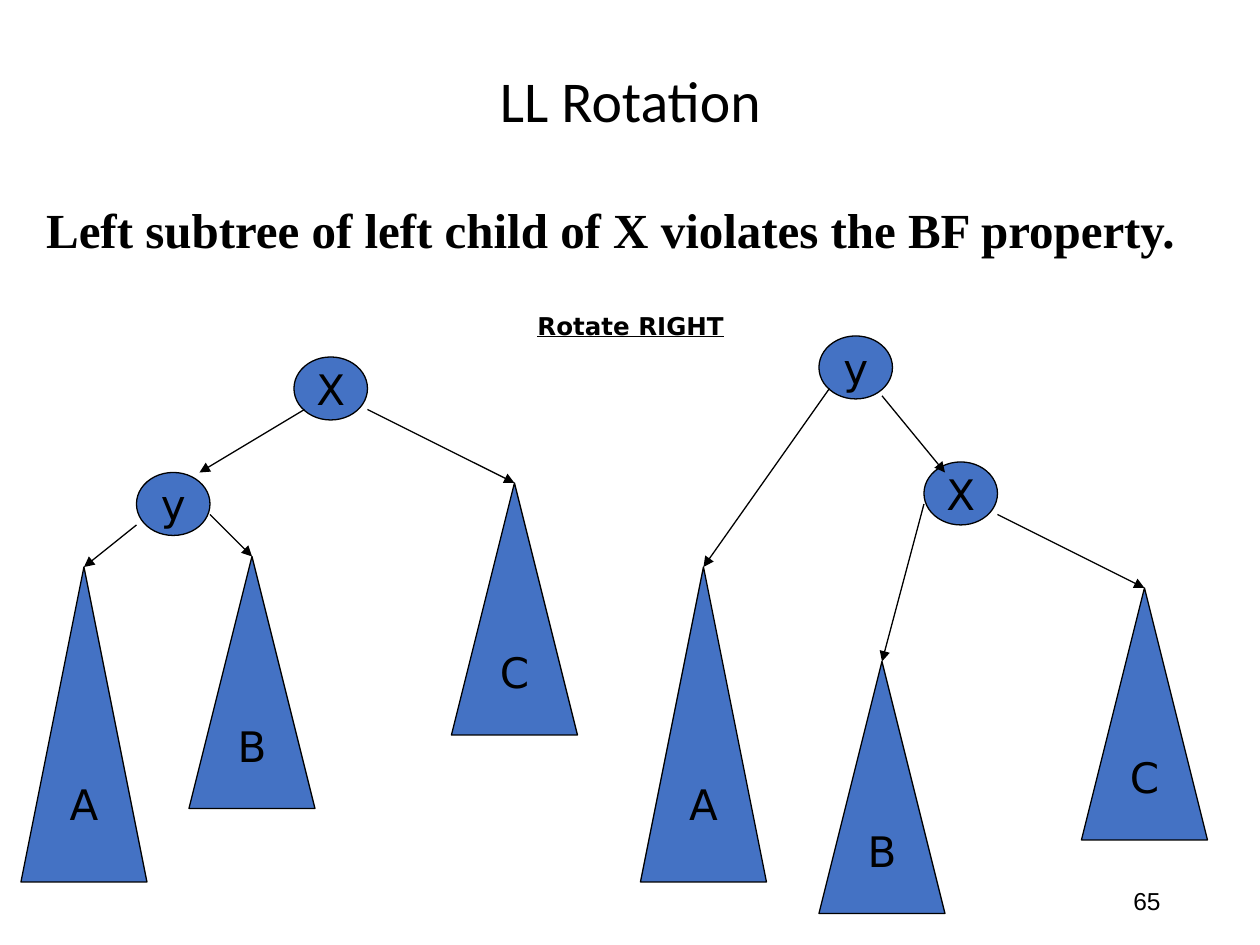
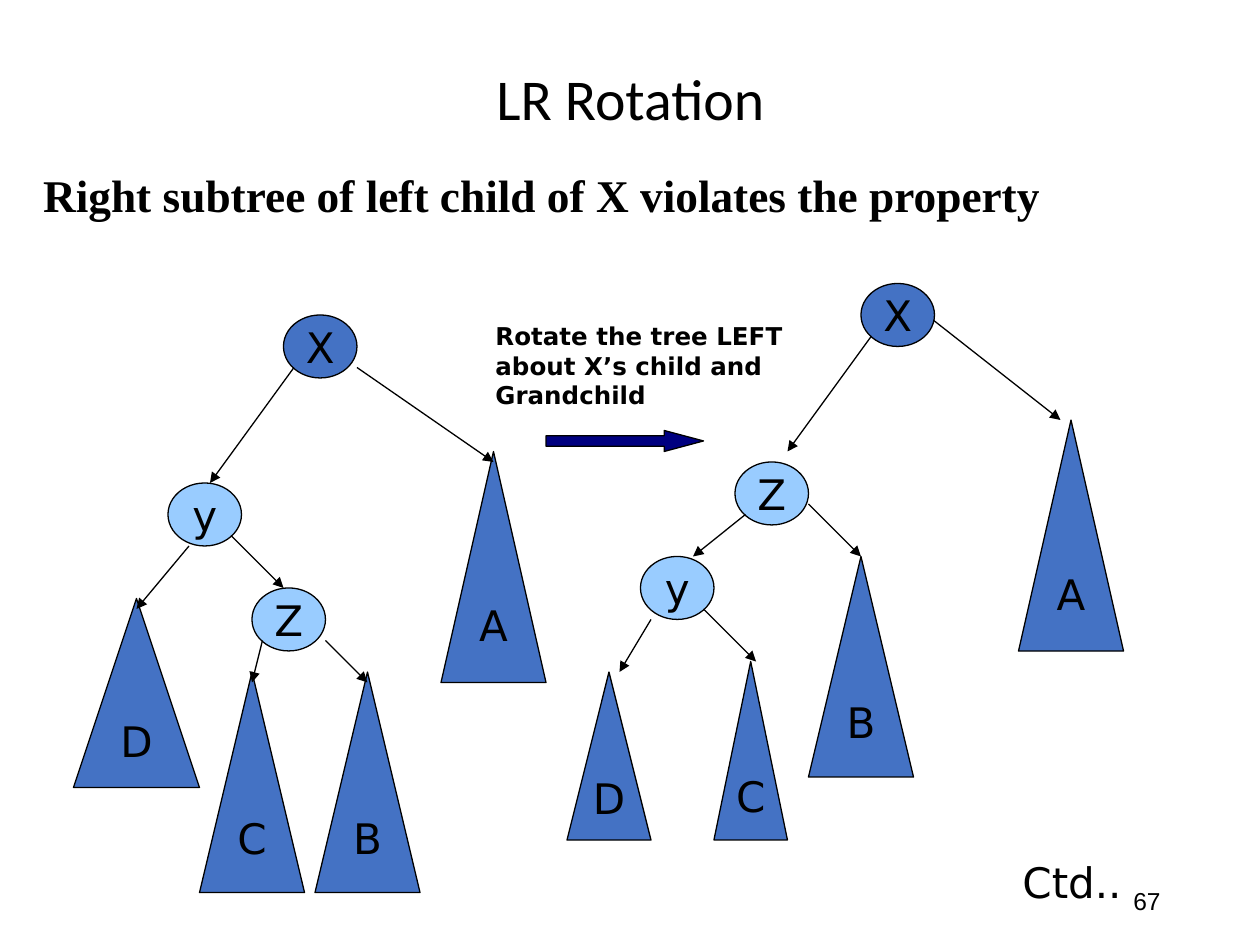
from dataclasses import dataclass

from lxml import etree
from pptx import Presentation
from pptx.dml.color import RGBColor
from pptx.enum.shapes import MSO_CONNECTOR, MSO_SHAPE
from pptx.enum.text import MSO_ANCHOR, MSO_AUTO_SIZE, PP_ALIGN
from pptx.oxml.ns import qn
from pptx.util import Inches, Pt

COLUMNS, ROWS = 120, 90
CELL = Inches(1) / 12
NODE_SIZE = (7, 6)

BLACK = "000000"
BLUE = "4472C4"
LIGHT_BLUE = "99CCFF"
NAVY = "000080"

TITLE_FONT = "Calibri"
BODY_FONT = "Times New Roman"
LABEL_FONT = "DejaVu Sans"
NUMBER_FONT = "Arial"


@dataclass
class Tree:
    """Parts are in grid cells, relative to the tree's origin."""
    origin: tuple
    nodes: list      # label, column, row, fill
    subtrees: list   # label, column, row, width, height
    edges: list      # start column, start row, end column, end row


LL_BEFORE = Tree(
    (2, 34),
    [("X", 26, 0, BLUE), ("y", 11, 11, BLUE)],
    [("A", 0, 20, 12, 30), ("B", 16, 19, 12, 24), ("C", 41, 12, 12, 24)],
    [(33, 5, 47, 12), (11, 16, 6, 20), (18, 15, 22, 19), (27, 5, 17, 11)],
)
LL_AFTER = Tree(
    (61, 32),
    [("X", 27, 12, BLUE), ("y", 17, 0, BLUE)],
    [("A", 0, 22, 12, 30), ("B", 17, 31, 12, 24), ("C", 42, 24, 12, 24)],
    [(27, 16, 23, 31), (34, 17, 48, 24), (18, 5, 6, 22), (23, 5.7, 29, 13)],
)
LR_BEFORE = Tree(
    (7, 30),
    [("X", 20, 0, BLUE), ("y", 9, 16, LIGHT_BLUE), ("Z", 17, 26, LIGHT_BLUE)],
    [("A", 35, 13, 10, 22), ("C", 12, 34, 10, 21),
     ("D", 0, 27, 12, 18), ("B", 23, 34, 10, 21)],
    [(11, 22, 6, 28), (15, 21, 20, 26), (21, 5, 13, 16),
     (18, 31, 17, 35), (27, 5, 40, 14), (24, 31, 28, 35)],
)
LR_AFTER = Tree(
    (54, 27),
    [("X", 28, 0, BLUE), ("y", 7, 26, LIGHT_BLUE), ("Z", 16, 17, LIGHT_BLUE)],
    [("A", 43, 13, 10, 22), ("C", 14, 36, 7, 17),
     ("D", 0, 37, 8, 16), ("B", 23, 26, 10, 21)],
    [(34.9, 3.5, 47, 13), (29, 5, 21, 16), (8, 32, 5, 37),
     (13, 31, 18, 36), (17, 22, 12, 26), (23, 21, 28, 26)],
)


def color(hex_string):
    return RGBColor.from_string(hex_string)


def cells(*counts):
    return [round(count * CELL) for count in counts]


def format_paragraph(paragraph, font_name, size, align, bold=False, underline=False):
    paragraph.alignment = align
    font = paragraph.font
    font.name, font.size = font_name, Pt(size)
    font.bold, font.underline = bold, underline
    font.color.rgb = color(BLACK)


def place(shape, box):
    shape.left, shape.top, shape.width, shape.height = cells(*box)


def add_text(slide, box, text, font_name, size, align=PP_ALIGN.LEFT,
             anchor=MSO_ANCHOR.TOP, **style):
    frame = slide.shapes.add_textbox(*cells(*box)).text_frame
    frame.word_wrap = True
    frame.vertical_anchor = anchor
    frame.text = text
    format_paragraph(frame.paragraphs[0], font_name, size, align, **style)


def add_solid(slide, preset, box, fill):
    shape = slide.shapes.add_shape(preset, *cells(*box))
    shape.shadow.inherit = False
    shape.fill.solid()
    shape.fill.fore_color.rgb = color(fill)
    shape.line.color.rgb = color(BLACK)
    shape.line.width = Pt(0.75)
    return shape


def add_labelled(slide, preset, box, fill, label):
    frame = add_solid(slide, preset, box, fill).text_frame
    frame.word_wrap = False
    frame.vertical_anchor = MSO_ANCHOR.MIDDLE
    frame.text = label
    format_paragraph(frame.paragraphs[0], LABEL_FONT, 24, PP_ALIGN.CENTER)


def add_edge(slide, ends):
    edge = slide.shapes.add_connector(MSO_CONNECTOR.STRAIGHT, *cells(*ends))
    edge.line.color.rgb = color(BLACK)
    edge.line.width = Pt(0.75)
    etree.SubElement(edge.line._get_or_add_ln(), qn("a:tailEnd"), type="triangle")
    etree.SubElement(edge._element.spPr, qn("a:effectLst"))


def add_tree(slide, tree):
    left, top = tree.origin
    for label, column, row, fill in tree.nodes:
        add_labelled(slide, MSO_SHAPE.OVAL,
                     (left + column, top + row, *NODE_SIZE), fill, label)
    for label, column, row, width, height in tree.subtrees:
        add_labelled(slide, MSO_SHAPE.FLOWCHART_EXTRACT,
                     (left + column, top + row, width, height), BLUE, label)
    for x1, y1, x2, y2 in tree.edges:
        add_edge(slide, (left + x1, top + y1, left + x2, top + y2))


def set_title(slide, text, height):
    title = slide.shapes.title
    place(title, (8.28, 4.8, 103.5, height))
    frame = title.text_frame
    frame.text = text
    frame.auto_size = MSO_AUTO_SIZE.NONE
    frame.vertical_anchor = MSO_ANCHOR.MIDDLE
    paragraph = frame.paragraphs[0]
    paragraph.line_spacing = 0.9
    format_paragraph(paragraph, TITLE_FONT, 33, PP_ALIGN.CENTER)


def set_statement(slide, text, box, size, line_spacing):
    body = slide.placeholders[1]
    place(body, box)
    frame = body.text_frame
    frame.text = text
    frame.auto_size = MSO_AUTO_SIZE.NONE
    paragraph = frame.paragraphs[0]
    paragraph.line_spacing = line_spacing
    paragraph.space_before = Pt(0)
    properties = paragraph._p.get_or_add_pPr()
    properties.set("marL", str(Inches(0.19)))
    properties.set("indent", str(-Inches(0.19)))
    etree.SubElement(properties, qn("a:buNone"))
    format_paragraph(paragraph, BODY_FONT, size, PP_ALIGN.JUSTIFY, bold=True)


def add_rotation_slide(presentation, title, title_height, number, trees):
    slide = presentation.slides.add_slide(presentation.slide_layouts[1])
    add_text(slide, (84.72, 83.4, 27, 4.8), number, NUMBER_FONT, 14,
             PP_ALIGN.RIGHT, MSO_ANCHOR.MIDDLE)
    set_title(slide, title, title_height)
    for tree in trees:
        add_tree(slide, tree)
    return slide


def add_ll_slide(presentation):
    slide = add_rotation_slide(presentation, "LL Rotation", 10.2, "65",
                               (LL_BEFORE, LL_AFTER))
    set_statement(slide, "Left subtree of left child of X violates the BF property.",
                  (3.2, 19, 116.8, 6.6), 28, 0.9)
    add_text(slide, (50, 29, 22, 11.3), "Rotate RIGHT", LABEL_FONT, 14,
             bold=True, underline=True)


def add_lr_slide(presentation):
    slide = add_rotation_slide(presentation, "LR Rotation", 9.7, "67",
                               (LR_BEFORE, LR_AFTER))
    set_statement(slide, "Right subtree of left child of X violates the property",
                  (2.9, 16.3, 107.9, 5.6), 25.9, 0.8)
    add_text(slide, (46, 30, 33, 9.6),
             "Rotate the tree LEFT about X’s child and Grandchild",
             LABEL_FONT, 14, bold=True)
    add_text(slide, (90, 81, 18, 6), "Ctd..", LABEL_FONT, 24, PP_ALIGN.RIGHT)
    arrow = add_solid(slide, MSO_SHAPE.RIGHT_ARROW, (52, 41, 15, 2), NAVY)
    arrow.adjustments[0] = 0.5
    arrow.adjustments[1] = 1.87


def main():
    presentation = Presentation()
    presentation.slide_width, presentation.slide_height = cells(COLUMNS, ROWS)
    add_ll_slide(presentation)
    add_lr_slide(presentation)
    presentation.save("out.pptx")


if __name__ == "__main__":
    main()
